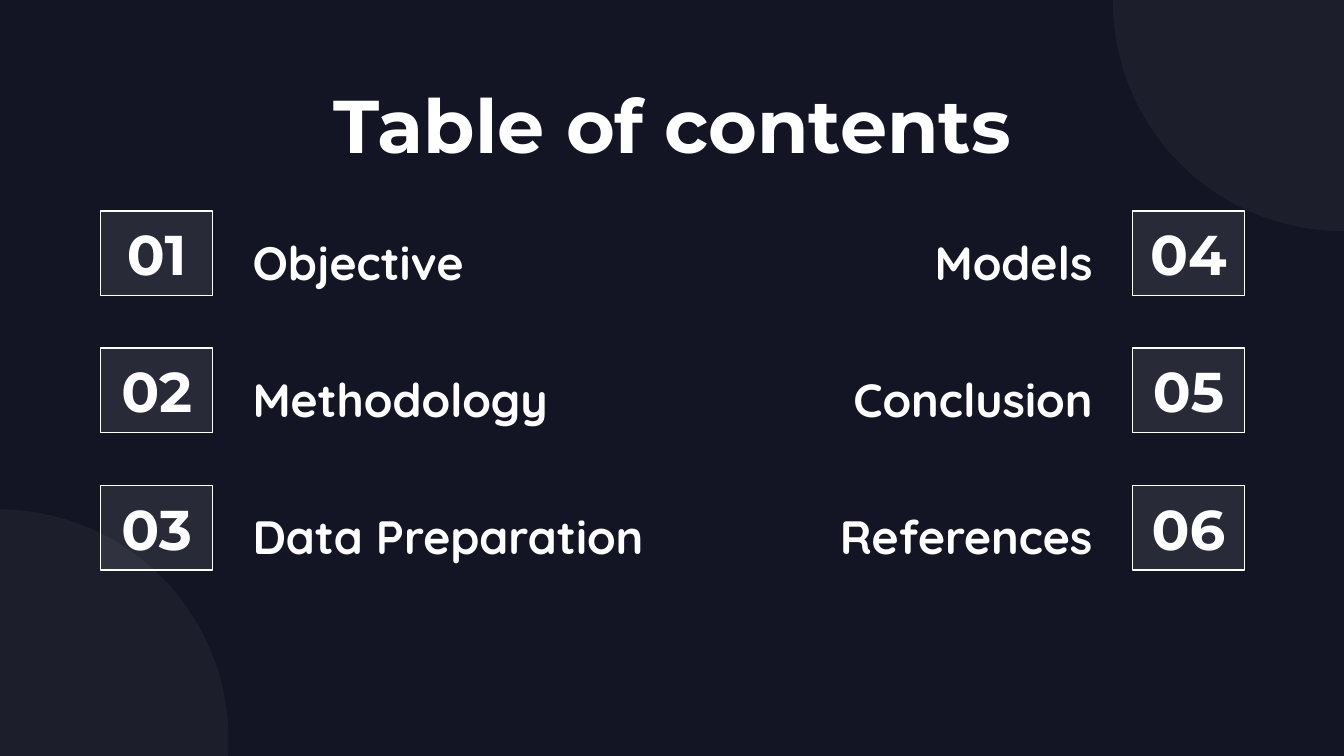
from lxml import etree
from pptx import Presentation
from pptx.dml.color import RGBColor
from pptx.enum import shapes, text
from pptx.oxml import ns
from pptx.util import Pt

COLORS = {"background": "131524", "white": "FFFFFF"}
HEADING_FONT, LABEL_FONT = "Montserrat", "Quicksand"
LEFT, CENTER, RIGHT = text.PP_ALIGN.LEFT, text.PP_ALIGN.CENTER, text.PP_ALIGN.RIGHT

ROW_TOP, ROW_PITCH = 113, 73.5
BOX_WIDTH, BOX_HEIGHT = 60, 45.4
LABEL_OFFSET, LABEL_HEIGHT = 5, 35.3
# Each column: box left, label left, alignment, (label, label width) entries
COLUMNS = [
    (54, 128.2, LEFT,
     [("Objective", 213), ("Methodology", 213), ("Data Preparation", 251)]),
    (606.7, 379.4, RIGHT,
     [("Models", 213), ("Conclusion", 213), ("References", 213)]),
]


def rgb(name):
    return RGBColor.from_string(COLORS[name])


def write(s, content, font=HEADING_FONT, size=30, align=CENTER,
          anchor=text.MSO_ANCHOR.TOP):
    tf = s.text_frame
    tf.word_wrap = True
    tf.vertical_anchor = anchor
    tf.margin_left = tf.margin_right = tf.margin_top = tf.margin_bottom = Pt(7.2)
    p = tf.paragraphs[0]
    p.alignment = align
    r = p.add_run()
    r.text = content
    r.font.name, r.font.size, r.font.bold = font, Pt(size), True
    r.font.color.rgb = rgb("white")


def add_text(slide, content, left, top, width, height, **fmt):
    s = slide.shapes.add_textbox(Pt(left), Pt(top), Pt(width), Pt(height))
    write(s, content, **fmt)


def add_veil(slide, kind, left, top, width, height, opacity):
    """Add a borderless white shape, with opacity in percent."""
    s = slide.shapes.add_shape(kind, Pt(left), Pt(top), Pt(width), Pt(height))
    s.shadow.inherit = False
    s.fill.solid()
    s.fill.fore_color.rgb = rgb("white")
    color = s.fill._xPr.find(".//" + ns.qn("a:srgbClr"))
    etree.SubElement(color, ns.qn("a:alpha"), val=str(opacity * 1000))
    s.line.fill.background()
    return s


def add_number_box(slide, number, left, top):
    s = add_veil(slide, shapes.MSO_SHAPE.RECTANGLE, left, top,
                 BOX_WIDTH, BOX_HEIGHT, 9)
    s.line.color.rgb = rgb("white")
    s.line.width = Pt(0.75)
    write(s, f"{number:02}", anchor=text.MSO_ANCHOR.MIDDLE)


def main():
    prs = Presentation()
    prs.slide_width, prs.slide_height = Pt(720), Pt(405)
    slide = prs.slides.add_slide(prs.slide_layouts[6])
    slide.background.fill.solid()
    slide.background.fill.fore_color.rgb = rgb("background")

    for left, top in [(596.2, -122.4), (-123.8, 272.9)]:
        add_veil(slide, shapes.MSO_SHAPE.OVAL, left, top, 246.2, 246.2, 4)

    add_text(slide, "Table of contents", 56.7, 35.3, 607, 45.4, size=40)
    number = 1
    for box_left, label_left, align, entries in COLUMNS:
        for row, (label, width) in enumerate(entries):
            top = ROW_TOP + row * ROW_PITCH
            add_number_box(slide, number, box_left, top)
            add_text(slide, label, label_left, top + LABEL_OFFSET, width,
                     LABEL_HEIGHT, font=LABEL_FONT, size=25, align=align)
            number += 1

    prs.save("out.pptx")


if __name__ == "__main__":
    main()
